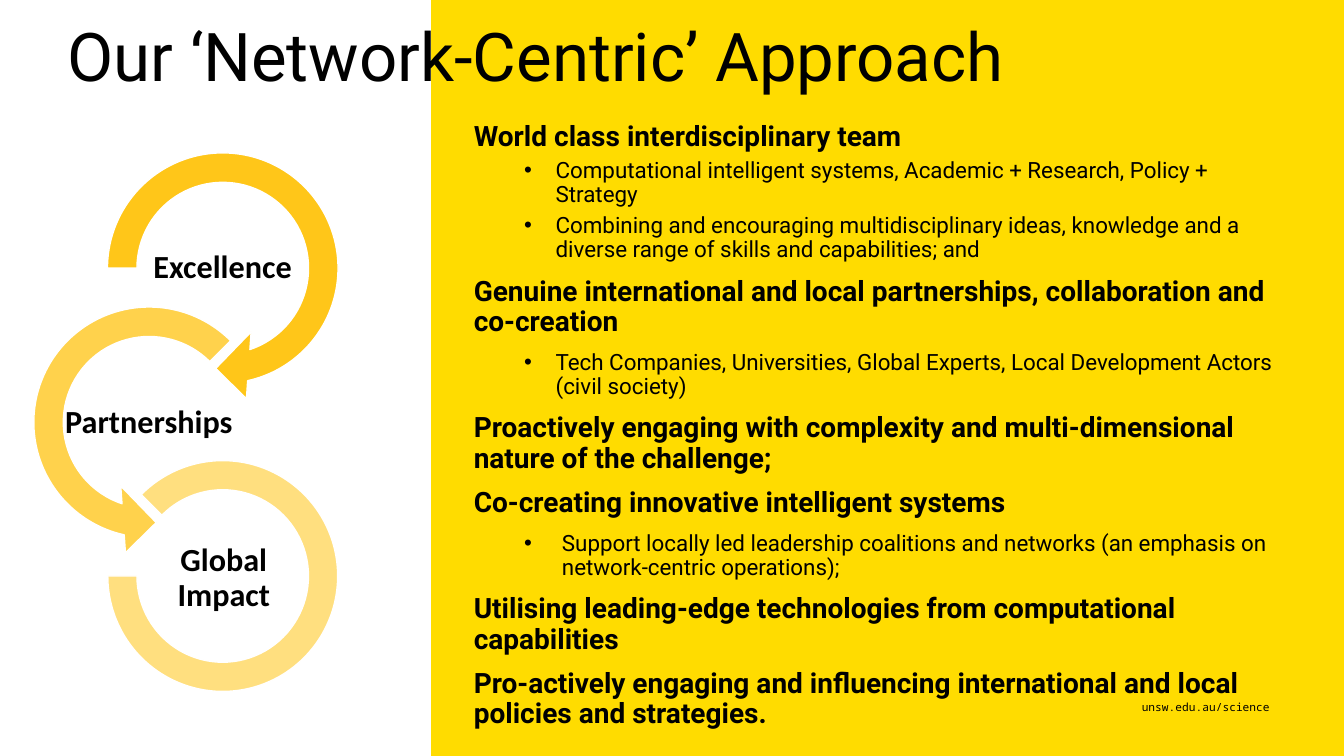
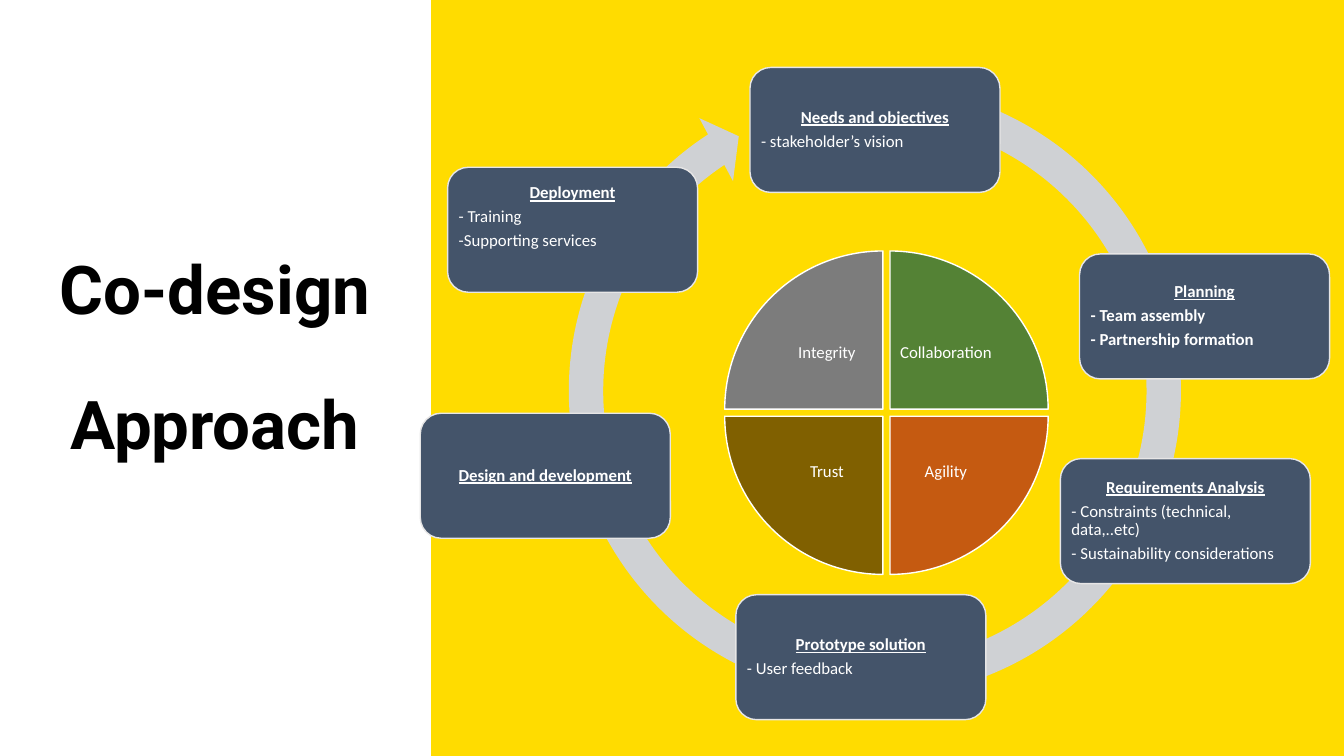
from lxml.etree import SubElement
from pptx import Presentation
from pptx.dml.color import RGBColor
from pptx.enum.shapes import MSO_SHAPE
from pptx.enum.text import MSO_ANCHOR, MSO_AUTO_SIZE, PP_ALIGN
from pptx.oxml.ns import qn
from pptx.util import Pt

# Shared look
WIDTH, HEIGHT = 960, 540
PANEL_LEFT = 308
HEAD_FONT, DIAGRAM_FONT, MONO_FONT = "Roboto", "Calibri", "Noto Sans Mono"
BLACK = RGBColor(0x00, 0x00, 0x00)
WHITE = RGBColor(0xFF, 0xFF, 0xFF)
YELLOW = RGBColor(0xFF, 0xDC, 0x00)
AMBER = RGBColor(0xFF, 0xC0, 0x00)
SLATE = RGBColor(0x44, 0x54, 0x6A)
PALE = RGBColor(0xE7, 0xE6, 0xE6)
RING = RGBColor(0xCF, 0xD1, 0xD4)
GREY = RGBColor(0x7C, 0x7C, 0x7C)
GREEN = RGBColor(0x54, 0x82, 0x35)
ORANGE = RGBColor(0xC5, 0x5A, 0x11)
OLIVE = RGBColor(0x80, 0x60, 0x00)

# Slide 1: (heading, bullets, space before bullets, hanging indent)
POINTS = [
    ("World class interdisciplinary team", [
        "Computational intelligent systems, Academic + Research, Policy + Strategy",
        "Combining and encouraging multidisciplinary ideas, knowledge and a diverse range of "
        "skills and capabilities; and"], 5, 22.5),
    ("Genuine international and local partnerships, collaboration and co-creation", [
        "Tech Companies, Universities, Global Experts, Local Development Actors (civil society)"],
     10, 22.5),
    ("Proactively engaging with complexity and multi-dimensional nature of the challenge;",
     [], 10, 0),
    ("Co-creating innovative intelligent systems", [
        "Support locally led leadership coalitions and networks (an emphasis on "
        "network-centric operations);"], 10, 27),
    ("Utilising leading-edge technologies from computational capabilities", [], 10, 0),
    ("Pro-actively engaging and influencing international and local policies and strategies.",
     [], 10, 0),
]
# Arcs: kind, box, percentages and degrees, opacity, label, label box
ARCS = [
    (MSO_SHAPE.CIRCULAR_ARROW, (63.4, 95.8, 191.5, 191.5),
     ("11%", 19.04, 75, 180, "12.5%"), 90, "Excellence", (105.8, 164.9, 106.6, 53.3)),
    (MSO_SHAPE.LEFT_CIRCULAR_ARROW, (10.8, 205.9, 191.5, 191.5),
     ("11%", 19.04, 105, 315, "12.5%"), 70, "Partnerships", (26.6, 275.8, 159.8, 53.3)),
    (MSO_SHAPE.BLOCK_ARC, (77, 329, 164.2, 164.9),
     (225, 180, "12.7%"), 50, "Global Impact", (106.6, 386.6, 106.6, 53.3)),
]

# Slide 2: step, left, top, notes, bold notes, extra room below the text
STEPS = [
    ("Needs and objectives", 535.7, 48.2, ["- stakeholder’s vision"], False, 0),
    ("Planning", 771.1, 181.4, ["- Team assembly", "- Partnership formation"], True, 0),
    ("Requirements Analysis", 757.4, 327.6,
     ["- Constraints (technical, data,..etc)", "- Sustainability considerations"], False, 0),
    ("Prototype solution", 525.6, 424.8, ["- User feedback"], False, 0),
    ("Design and development", 300.2, 295.2, [], False, 0),
    ("Deployment", 319.7, 119.5, ["- Training", "-Supporting services"], False, 17.5),
]
STEP_SIZE = (178.6, 89.3)
# Wedges clockwise from top left: label, colour, column, row
WEDGES = [("Integrity", GREY, 0, 0), ("Collaboration", GREEN, 1, 0),
          ("Agility", ORANGE, 1, 1), ("Trust", OLIVE, 0, 1)]
WHEEL_LEFT, WHEEL_TOP, WEDGE, WEDGE_STEP, WEDGE_LABEL = 517.7, 179.3, 113, 118, 80


def place(shape, box):
    shape.left, shape.top, shape.width, shape.height = (Pt(v) for v in box)


def set_frame(shape, insets, anchor=MSO_ANCHOR.TOP):
    frame = shape.text_frame
    frame.word_wrap = True
    frame.auto_size = MSO_AUTO_SIZE.NONE
    frame.vertical_anchor = anchor
    (frame.margin_left, frame.margin_top,
     frame.margin_right, frame.margin_bottom) = (Pt(v) for v in insets)
    return frame


def write(frame, text, font, size, color, align=PP_ALIGN.LEFT, bold=False,
          underline=False, spacing=0.9, before=0, after=0):
    """Add one paragraph, using the first one while it is still empty."""
    para = frame.paragraphs[0]
    if para.runs:
        para = frame.add_paragraph()
        para.space_before = Pt(before)
    else:
        para.space_before = Pt(0)
    para.alignment = align
    para.line_spacing = spacing
    para.space_after = Pt(after)
    span = para.add_run()
    span.text = text
    span.font.name, span.font.size = font, Pt(size)
    span.font.bold, span.font.underline = bold, underline
    span.font.color.rgb = color
    return para


def set_bullet(para, left=0, hang=0):
    props = para._p.get_or_add_pPr()
    props.set("marL", str(Pt(left)))
    props.set("indent", str(-Pt(hang)))
    if hang:
        SubElement(props, qn("a:buFont")).set("typeface", "Arial")
        SubElement(props, qn("a:buChar")).set("char", "•")
    else:
        SubElement(props, qn("a:buNone"))


def add_shape(page, kind, box, fill, line=None, opacity=100):
    shape = page.shapes.add_shape(kind, *(Pt(v) for v in box))
    shape.shadow.inherit = False
    shape.fill.solid()
    shape.fill.fore_color.rgb = fill
    if opacity < 100:
        color = shape.element.spPr.find(qn("a:solidFill"))[0]
        SubElement(color, qn("a:alpha")).set("val", str(opacity * 1000))
    if line is None:
        shape.line.fill.background()
    else:
        shape.line.color.rgb = line
        shape.line.width = Pt(1)
    return shape


def set_arc(shape, settings):
    """Percentages set thickness, plain numbers are angles in degrees."""
    for index, value in enumerate(settings):
        is_share = isinstance(value, str)
        shape.adjustments[index] = float(value.rstrip("%")) / 100 if is_share else value * 0.6


def add_label(page, text, box, size, color, inset, bold=False):
    label = page.shapes.add_textbox(*(Pt(v) for v in box))
    frame = set_frame(label, (inset,) * 4, MSO_ANCHOR.MIDDLE)
    write(frame, text, DIAGRAM_FONT, size, color, PP_ALIGN.CENTER, bold)


def set_title(page, box, lines, align=PP_ALIGN.LEFT, bold=False, spacing=1.0):
    title = page.shapes.title
    place(title, box)
    frame = set_frame(title, (0, 3.6, 0, 3.6))
    for line in lines:
        write(frame, line, HEAD_FONT, 48, BLACK, align, bold, spacing=spacing, before=10)


def build_network(page):
    set_title(page, (48.2, 6.5, 692.6, 88.6), ["Our ‘Network-Centric’ Approach"])

    # Web address
    address = page.shapes.add_textbox(Pt(697), Pt(496.8), Pt(210.2), Pt(17.3))
    write(set_frame(address, (0, 3.6, 0, 3.6)), "unsw.edu.au/science",
          MONO_FONT, 8, BLACK, PP_ALIGN.RIGHT, spacing=1.0)

    # Points
    body = page.placeholders[1]
    place(body, (338.4, 83.5, 586.1, 431.3))
    frame = set_frame(body, (0, 3.6, 0, 3.6))
    for heading, bullets, before, hang in POINTS:
        set_bullet(write(frame, heading, HEAD_FONT, 20, BLACK, bold=True, before=10))
        for bullet in bullets:
            para = write(frame, bullet, HEAD_FONT, 16, BLACK, before=before)
            para.level = 1
            set_bullet(para, 36 + hang, hang)

    # Chain of arcs
    for kind, box, settings, opacity, text, label_box in ARCS:
        set_arc(add_shape(page, kind, box, AMBER, WHITE, opacity), settings)
        add_label(page, text, label_box, 23, BLACK, 1.5, bold=True)


def build_codesign(page):
    body = page.placeholders[1].element
    body.getparent().remove(body)
    set_title(page, (33.1, 144, 241.2, 301.7), ["Co-design", "Approach"],
              PP_ALIGN.CENTER, bold=True, spacing=1.5)

    # Wheel of values
    for index, (text, color, column, row) in enumerate(WEDGES):
        left, top = WHEEL_LEFT + column * WEDGE_STEP, WHEEL_TOP + row * WEDGE_STEP
        wedge = add_shape(page, MSO_SHAPE.PIE_WEDGE, (left, top, WEDGE, WEDGE), color, WHITE)
        wedge.rotation = 90 * index
        inward = WEDGE - WEDGE_LABEL
        add_label(page, text, (left + (1 - column) * inward, top + (1 - row) * inward,
                               WEDGE_LABEL, WEDGE_LABEL), 12, WHITE, 6.5)

    # Cycle of steps
    ring = add_shape(page, MSO_SHAPE.CIRCULAR_ARROW, (393.1, 47.5, 463.7, 463.7), RING)
    set_arc(ring, ("5.3%", 5.21, 236.68, 285.72, "5.5%"))
    for name, left, top, notes, bold, room in STEPS:
        step = add_shape(page, MSO_SHAPE.ROUNDED_RECTANGLE, (left, top, *STEP_SIZE), SLATE, PALE)
        frame = set_frame(step, (3.6, 3.6, 3.6, 3.6 + room), MSO_ANCHOR.MIDDLE)
        write(frame, name, DIAGRAM_FONT, 12, WHITE, PP_ALIGN.CENTER, True, True, after=4.2)
        for note in notes:
            write(frame, note, DIAGRAM_FONT, 12, WHITE, bold=bold, after=4.2)


def main():
    deck = Presentation()
    deck.slide_width, deck.slide_height = Pt(WIDTH), Pt(HEIGHT)
    layout = deck.slide_layouts[1]
    pages = [deck.slides.add_slide(layout) for _ in range(2)]

    # Yellow panel, kept on the layout
    panel = add_shape(pages[0], MSO_SHAPE.RECTANGLE,
                      (PANEL_LEFT, 0, WIDTH - PANEL_LEFT, HEIGHT), YELLOW)
    layout.shapes._spTree.insert(2, panel.element)

    build_network(pages[0])
    build_codesign(pages[1])
    deck.save("out.pptx")


if __name__ == "__main__":
    main()
